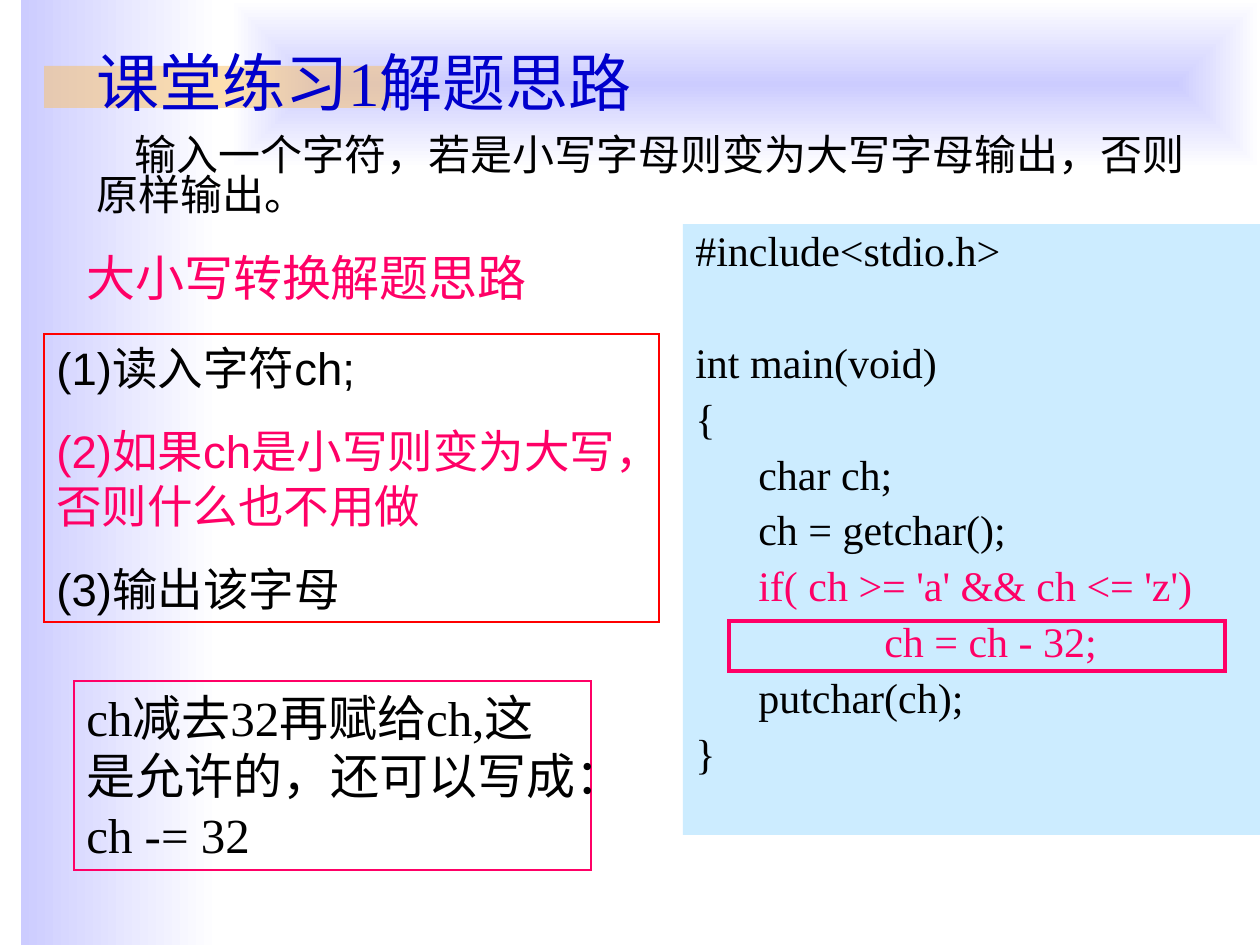
from dataclasses import dataclass

from lxml.etree import SubElement
from pptx import Presentation
from pptx.dml.color import RGBColor
from pptx.enum.shapes import MSO_SHAPE
from pptx.enum.text import MSO_ANCHOR, PP_ALIGN
from pptx.oxml.ns import qn
from pptx.util import Emu, Pt

PX_PER_INCH = 126
EMU_PER_INCH = 914400


def px(length):
    return Emu(round(length * EMU_PER_INCH / PX_PER_INCH))


@dataclass(frozen=True)
class Theme:
    ink: str = "000000"
    title: str = "0000CC"
    accent: str = "FF0066"
    steps_border: str = "FF0000"
    code_fill: str = "CCECFF"
    lavender: str = "CCCCFF"
    white: str = "FFFFFF"
    amber: str = "FAC164"
    serif: str = "Times New Roman"
    sans: str = "Arial"
    title_size: int = 36
    heading_size: int = 28
    steps_size: int = 26
    body_size: int = 24


def write(frame, text, *, size, font, color, line_spacing=1.0, before=0,
          margin=0, indent=0):
    is_first = not frame.text
    paragraph = frame.paragraphs[0] if is_first else frame.add_paragraph()
    properties = paragraph._p.get_or_add_pPr()
    properties.set("marL", str(px(margin)))
    properties.set("indent", str(px(indent)))
    paragraph.alignment = PP_ALIGN.LEFT
    paragraph.line_spacing = line_spacing
    paragraph.space_before = Pt(0 if is_first else before)
    run = paragraph.add_run()
    run.text = text
    run.font.size = Pt(size)
    run.font.name = font
    run.font.color.rgb = RGBColor.from_string(color)


class SlideBuilder:
    def __init__(self, slide, theme):
        self.slide = slide
        self.theme = theme

    def panel(self, left, top, width, height, fill=None, border=None,
              border_width=0.75, opacity=100):
        panel = self.slide.shapes.add_shape(
            MSO_SHAPE.RECTANGLE, px(left), px(top), px(width), px(height))
        panel.shadow.inherit = False
        if fill:
            panel.fill.solid()
            panel.fill.fore_color.rgb = RGBColor.from_string(fill)
            if opacity < 100:
                tint = panel._element.spPr.find(qn("a:solidFill"))[0]
                SubElement(tint, qn("a:alpha"), val=str(opacity * 1000))
        else:
            panel.fill.background()
        if border:
            panel.line.color.rgb = RGBColor.from_string(border)
            panel.line.width = Pt(border_width)
            outline = panel._element.spPr.find(qn("a:ln"))
            SubElement(outline, qn("a:miter"), lim="800000")
        else:
            panel.line.fill.background()
        frame = panel.text_frame
        frame.word_wrap = True
        frame.vertical_anchor = MSO_ANCHOR.TOP
        return panel

    def gradient(self, left, top, width, height, from_center=False):
        band = self.panel(left, top, width, height)
        band.fill.gradient()
        band.fill.gradient_angle = 0
        colors = (self.theme.lavender, self.theme.white)
        for position, (stop, color) in enumerate(zip(band.fill.gradient_stops, colors)):
            stop.position = position
            stop.color.rgb = RGBColor.from_string(color)
        if from_center:
            gradient = band._element.spPr.find(qn("a:gradFill"))
            linear = gradient.find(qn("a:lin"))
            radial = SubElement(gradient, qn("a:path"), path="rect")
            SubElement(radial, qn("a:fillToRect"),
                       {side: "50000" for side in "ltrb"})
            gradient.replace(linear, radial)

    def label(self, left, top, width, height, text, **text_format):
        box = self.slide.shapes.add_textbox(px(left), px(top), px(width), px(height))
        box.text_frame.word_wrap = True
        box.text_frame.vertical_anchor = MSO_ANCHOR.MIDDLE
        write(box.text_frame, text, **text_format)


def main():
    theme = Theme()
    deck = Presentation()
    deck.slide_width, deck.slide_height = px(1260), px(945)
    builder = SlideBuilder(deck.slides.add_slide(deck.slide_layouts[6]), theme)

    builder.gradient(21, 0, 199, 945)
    builder.gradient(231, 0, 1029, 168, from_center=True)
    builder.panel(44, 66, 347, 42, fill=theme.amber, opacity=50)
    builder.label(84, 55, 1152, 67, "课堂练习1解题思路", size=theme.title_size,
                  font=theme.serif, color=theme.title, line_spacing=0.8)

    code = builder.panel(683, 224, 577, 611, fill=theme.code_fill).text_frame
    line_gap, blank_line = 6, 32
    body, nested = 63, 189
    code_lines = (
        ("#include<stdio.h>", theme.ink, 0, line_gap),
        ("int main(void)", theme.ink, 0, line_gap + blank_line),
        ("{", theme.ink, 0, line_gap),
        ("char ch;", theme.ink, body, line_gap),
        ("ch = getchar();", theme.ink, body, line_gap),
        ("if( ch >= 'a' && ch <= 'z')", theme.accent, body, line_gap),
        ("ch = ch - 32;", theme.accent, nested, line_gap),
        ("putchar(ch);", theme.ink, body, line_gap),
        ("}", theme.ink, 0, line_gap),
    )
    for text, color, margin, before in code_lines:
        write(code, text, size=theme.body_size, font=theme.serif, color=color,
              line_spacing=0.9, before=before, margin=margin)

    builder.label(74, 245, 507, 64, "大小写转换解题思路", size=theme.heading_size,
                  font=theme.sans, color=theme.accent)

    steps = builder.panel(44, 334, 615, 288, border=theme.steps_border).text_frame
    for text, color in (
        ("(1)读入字符ch;", theme.ink),
        ("(2)如果ch是小写则变为大写，否则什么也不用做", theme.accent),
        ("(3)输出该字母", theme.ink),
    ):
        write(steps, text, size=theme.steps_size, font=theme.sans, color=color,
              before=16.2)

    note = builder.panel(74, 681, 517, 189, border=theme.accent).text_frame
    write(note, "ch减去32再赋给ch,这是允许的，还可以写成：ch -= 32",
          size=theme.heading_size, font=theme.serif, color=theme.ink)

    builder.panel(729, 621, 496, 50, border=theme.accent, border_width=2.25)
    builder.label(84, 145, 1152, 67,
                  "输入一个字符，若是小写字母则变为大写字母输出，否则原样输出。",
                  size=theme.body_size, font=theme.serif, color=theme.ink,
                  line_spacing=0.8, indent=38)
    deck.save("out.pptx")


if __name__ == "__main__":
    main()
